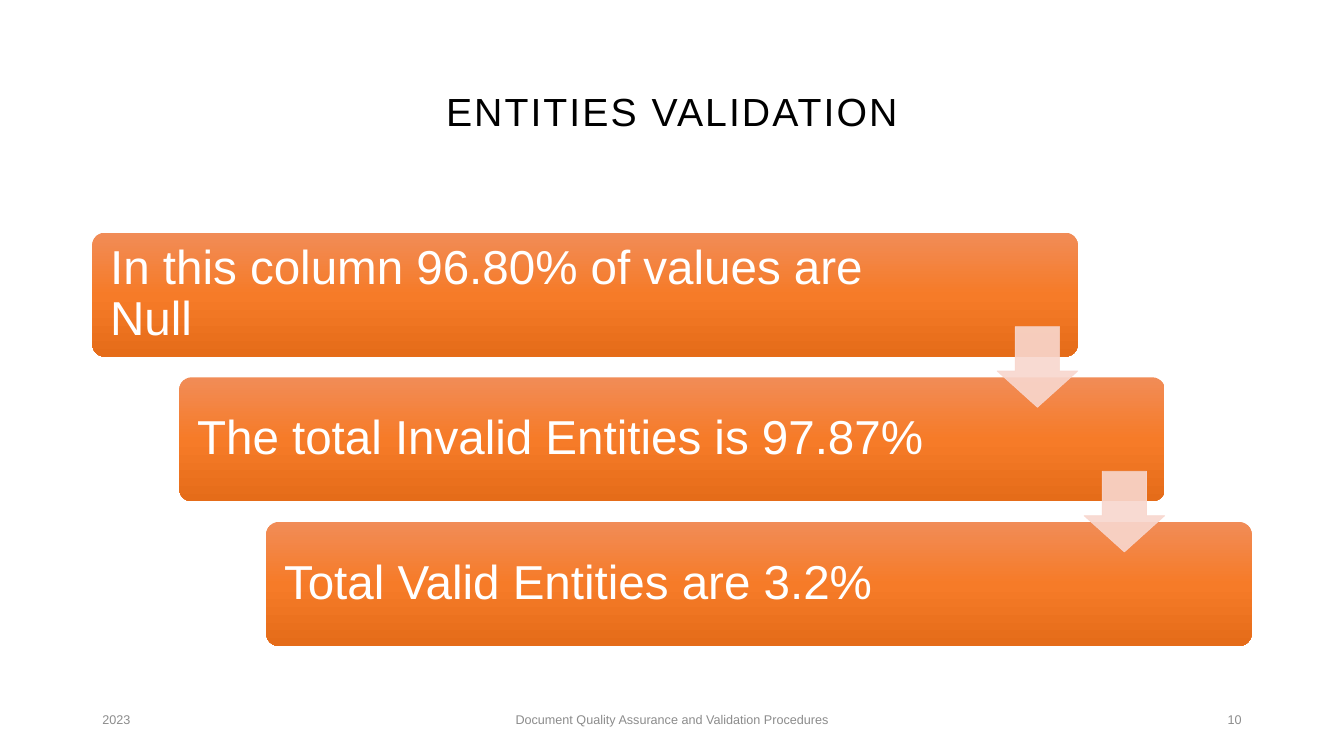
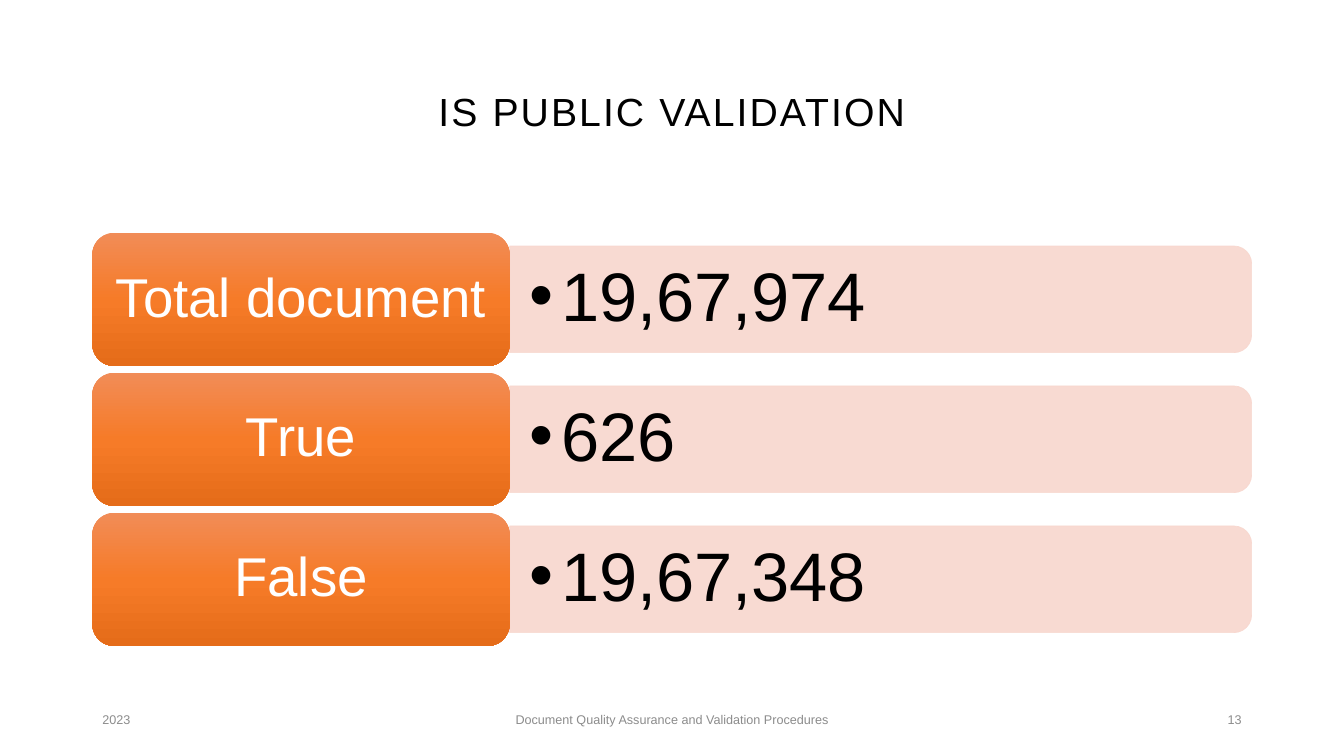
"""Builds two validation slides: a step cascade and a table of totals."""
import dataclasses
from copy import deepcopy

import lxml.etree
import pptx
import pptx.dml.color
import pptx.enum.shapes
import pptx.enum.text
import pptx.oxml.ns
import pptx.util

SHAPE = pptx.enum.shapes.MSO_SHAPE
ALIGN = pptx.enum.text.PP_ALIGN
MIDDLE = pptx.enum.text.MSO_ANCHOR.MIDDLE
qn = pptx.oxml.ns.qn


@dataclasses.dataclass(frozen=True)
class Theme:
    """Holds colours, font and type sizes."""
    font: str = "Arial"
    ink: str = "000000"
    white: str = "FFFFFF"
    grey: str = "8C8C8C"
    pale: str = "F8D7CE"
    blend: tuple = ("F18C57", "F67B28", "E56C19")
    title: int = 28
    step: int = 34
    label: int = 39
    value: int = 49
    foot: int = 9


class Deck:
    """Draws on a grid of 160 columns by 90 rows."""
    LEFT, TOP, WIDE, HIGH = 11, 27.7, 138, 49.2

    def __init__(self, theme):
        """Opens an empty wide deck."""
        self.theme = theme
        self.show = pptx.Presentation()
        self.show.slide_width = pptx.util.Inches(13.333)
        self.show.slide_height = pptx.util.Inches(7.5)
        self.slide = None

    def spot(self, *cells):
        """Turns grid cells into slide lengths."""
        unit = self.show.slide_height / 90
        return [pptx.util.Emu(round(cell * unit)) for cell in cells]

    def tint(self, code):
        """Returns a colour from its hex code."""
        return pptx.dml.color.RGBColor.from_string(code)

    def put(self, shape, text, size, ink, align=ALIGN.LEFT, pad=(0.1, 0.05, 0.1, 0.05)):
        """Sets one styled paragraph and returns it."""
        frame = shape.text_frame
        frame.text = text
        frame.word_wrap = True
        frame.auto_size = pptx.enum.text.MSO_AUTO_SIZE.NONE
        frame.vertical_anchor = MIDDLE
        (frame.margin_left, frame.margin_top, frame.margin_right,
         frame.margin_bottom) = [pptx.util.Inches(side) for side in pad]
        para = frame.paragraphs[0]
        para.alignment = align
        para.line_spacing = 0.9
        font = para.runs[0].font
        font.name = self.theme.font
        font.size = pptx.util.Pt(size)
        font.color.rgb = self.tint(ink)
        return para

    def page(self, title, number):
        """Starts a slide with its title and footer."""
        self.slide = self.show.slides.add_slide(self.show.slide_layouts[5])
        head = self.slide.shapes.title
        head.left, head.top, head.width, head.height = self.spot(self.LEFT, 4.8, self.WIDE, 17.4)
        para = self.put(head, title, self.theme.title, self.theme.ink, ALIGN.CENTER)
        para.runs[0]._r.get_or_add_rPr().set("spc", "150")
        for left, wide, text, align in (
                (self.LEFT, 36, "2023", ALIGN.LEFT),
                (53, 54, "Document Quality Assurance and Validation Procedures", ALIGN.CENTER),
                (113, 36, str(number), ALIGN.RIGHT)):
            self.text((left, 83.4, wide, 4.8), text, self.theme.foot, self.theme.grey, align)

    def text(self, cells, *words, **style):
        """Adds a text box and returns its paragraph."""
        return self.put(self.slide.shapes.add_textbox(*self.spot(*cells)), *words, **style)

    def shape(self, kind, cells, *bends):
        """Adds a plain shape without shadow."""
        shape = self.slide.shapes.add_shape(kind, *self.spot(*cells))
        shape.shadow.inherit = False
        for index, bend in enumerate(bends):
            shape.adjustments[index] = bend
        return shape

    def card(self, cells, *bends):
        """Adds a rounded card with the orange blend."""
        card = self.shape(SHAPE.ROUNDED_RECTANGLE, cells, *bends)
        card.line.fill.background()
        card.fill.gradient()
        card.fill.gradient_angle = 270
        stops = card._element.spPr.find(".//" + qn("a:gsLst"))
        stops.append(deepcopy(stops[0]))
        for index, stop in enumerate(card.fill.gradient_stops):
            stop.color.rgb = self.tint(self.theme.blend[index])
            stop.position = index / 2
        return card

    def sheer(self, kind, cells, *bends):
        """Adds a pale shape that lets a tenth shine through."""
        shape = self.shape(kind, cells, *bends)
        shape.line.width = pptx.util.Pt(0.5)
        shape.fill.solid()
        for color in (shape.fill.fore_color, shape.line.color):
            color.rgb = self.tint(self.theme.pale)
        for tone in shape._element.spPr.iter(qn("a:srgbClr")):
            lxml.etree.SubElement(tone, qn("a:alpha")).set("val", "90000")
        return shape

    def steps(self, items):
        """Draws a staircase of cards joined by block arrows."""
        wide, high = 0.85 * self.WIDE, 0.3 * self.HIGH
        over, down = 0.075 * self.WIDE, 0.35 * self.HIGH
        size = 0.65 * high
        for row, item in enumerate(items):
            card = self.card((self.LEFT + row * over, self.TOP + row * down, wide, high), 0.1)
            self.put(card, item, self.theme.step, self.theme.white, pad=(0.14, 0.05, 1.4, 0.05))
        for row in range(len(items) - 1):
            edge = self.LEFT + row * over + wide
            gap = self.TOP + row * down + (high + down) / 2
            self.sheer(SHAPE.DOWN_ARROW, (edge - size, gap - size / 2, size, size), 0.55, 0.45)

    def totals(self, items):
        """Draws rows of a label card and a value panel."""
        count = len(items)
        high = self.HIGH / (count + 0.05 * (count - 1))
        wide = 0.36 * self.WIDE
        span, thick = self.WIDE - wide, 0.8 * high
        edge = self.LEFT + wide
        for row, (label, value) in enumerate(items):
            top = self.TOP + row * 1.05 * high
            mid = top + high / 2
            panel = self.sheer(SHAPE.ROUND_2_SAME_RECTANGLE,
                               (edge + (span - thick) / 2, mid - span / 2, thick, span))
            panel.rotation = 90
            para = self.text((edge, mid - thick / 2, span, thick), value, self.theme.value,
                             self.theme.ink, pad=(0.2, 0.1, 0.2, 0.1))
            self.dot(para)
            card = self.card((self.LEFT, top, wide, high))
            self.put(card, label, self.theme.label, self.theme.white, ALIGN.CENTER)

    def dot(self, para):
        """Gives a paragraph a hanging bullet."""
        props = para._p.get_or_add_pPr()
        hang = pptx.util.Inches(0.31)
        props.set("marL", str(hang))
        props.set("indent", str(-hang))
        lxml.etree.SubElement(props, qn("a:buFont")).set("typeface", self.theme.font)
        lxml.etree.SubElement(props, qn("a:buChar")).set("char", "•")


def main():
    """Builds and saves the deck."""
    deck = Deck(Theme())
    deck.page("ENTITIES VALIDATION", 10)
    deck.steps(["In this column 96.80% of values are Null",
                "The total Invalid Entities is 97.87%",
                "Total Valid Entities are 3.2%"])
    deck.page("IS PUBLIC VALIDATION", 13)
    deck.totals([("Total document", "19,67,974"), ("True", "626"), ("False", "19,67,348")])
    deck.show.save("out.pptx")


if __name__ == "__main__":
    main()
